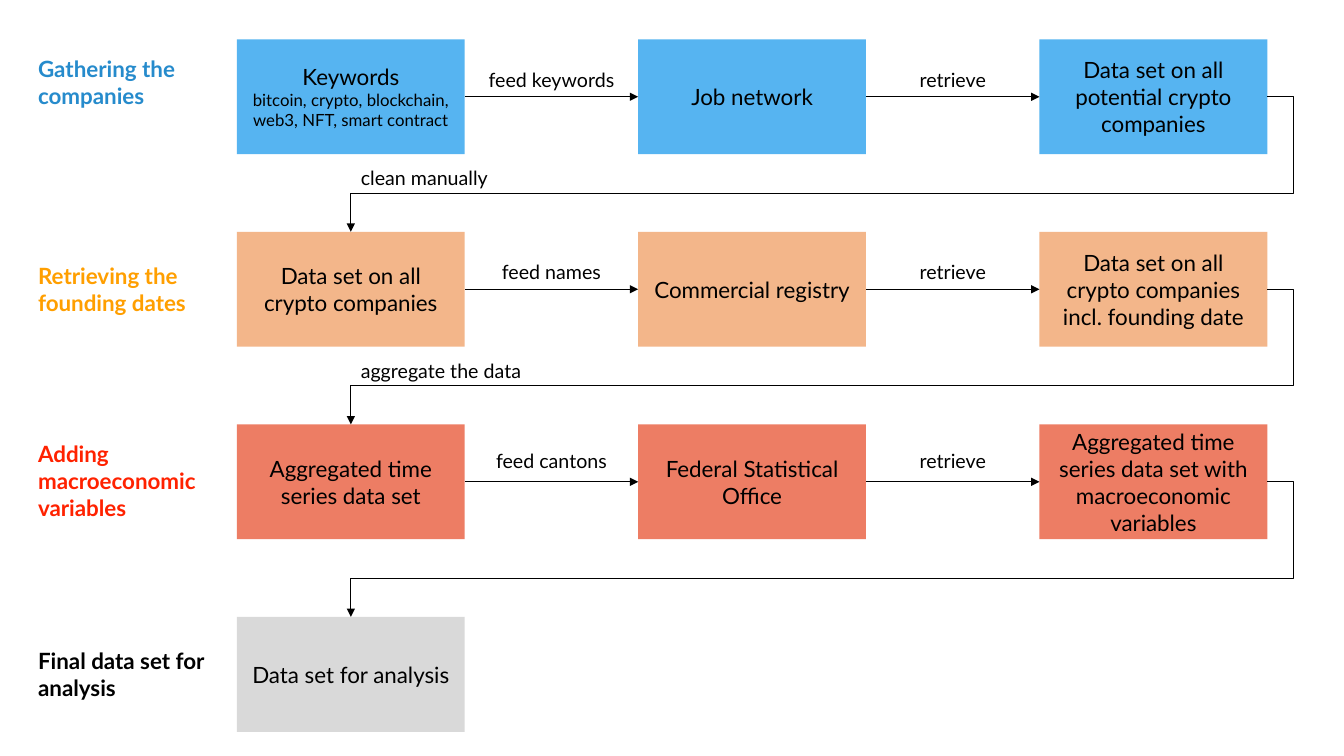
from dataclasses import dataclass

from lxml import etree
from pptx import Presentation
from pptx.dml.color import RGBColor
from pptx.enum.shapes import MSO_CONNECTOR, MSO_SHAPE
from pptx.enum.text import MSO_ANCHOR, MSO_AUTO_SIZE, PP_ALIGN
from pptx.oxml.ns import qn
from pptx.shapes.autoshape import Shape
from pptx.shapes.connector import Connector
from pptx.util import Inches, Pt

RECTANGLE = MSO_SHAPE.RECTANGLE
STRAIGHT, ELBOW = MSO_CONNECTOR.STRAIGHT, MSO_CONNECTOR.ELBOW
LEFT, CENTER = PP_ALIGN.LEFT, PP_ALIGN.CENTER
MIDDLE = MSO_ANCHOR.MIDDLE
GROW = MSO_AUTO_SIZE.SHAPE_TO_FIT_TEXT
FONT = "Lato"
BLACK = "000000"

# Connection sites of a rectangle
TOP_SITE, LEFT_SITE, RIGHT_SITE = 0, 1, 3

# Grid, in inches
BOX_WIDTH, BOX_HEIGHT = 2.26, 1.14
FIRST_LEFT, COLUMN_PITCH = 2.35, 3.98
FIRST_TOP, ROW_PITCH = 0.39, 1.91
LABEL_WIDTH, LABEL_HEIGHT = 1.91, 0.34
HEADING_LEFT, HEADING_WIDTH = 0.28, 2.06
RETURN_OVERHANG = 0.25


@dataclass(frozen=True)
class Stage:
    """One row of the process; the last line goes back to the next row."""
    heading: str
    heading_color: str
    heading_top: float
    heading_height: float
    fill: str
    steps: tuple[str, ...]
    labels: tuple[str, ...] = ()
    label_top: float = 0
    return_label: str = ""


STAGES = (
    Stage("Gathering the companies", "268BCC", 0.5, 0.64, "56B4F1",
          ("Keywords\nbitcoin, crypto, blockchain, web3, NFT, smart contract",
           "Job network", "Data set on all potential crypto companies"),
          ("feed keywords", "retrieve"), 0.62, "clean manually"),
    Stage("Retrieving the founding dates", "FF9F00", 2.55, 0.64, "F3B68A",
          ("Data set on all crypto companies", "Commercial registry",
           "Data set on all crypto companies incl. founding date"),
          ("feed names", "retrieve"), 2.53, "aggregate the data"),
    Stage("Adding macroeconomic variables", "FF2200", 4.32, 0.91, "ED7D64",
          ("Aggregated time series data set", "Federal Statistical Office",
           "Aggregated time series data set with macroeconomic variables"),
          ("feed cantons", "retrieve"), 4.4),
    Stage("Final data set for analysis", BLACK, 6.37, 0.64, "D9D9D9",
          ("Data set for analysis",)),
)


def rgb(color: str) -> RGBColor:
    """Turn a hex string into a colour."""
    return RGBColor.from_string(color)


def write(shape: Shape, text: str, sizes: tuple[int, ...], align: PP_ALIGN,
          color: str = BLACK, bold: bool = False) -> None:
    """Fill a shape with text, one font size per paragraph."""
    frame = shape.text_frame
    frame.text = text
    frame.word_wrap = True
    for para, size in zip(frame.paragraphs, sizes):
        para.alignment = align
        for span in para.runs:
            span.font.name = FONT
            span.font.size = Pt(size)
            span.font.bold = bold
            span.font.color.rgb = rgb(color)


def add_step(page, column: int, row: int, text: str, fill: str) -> Shape:
    """Draw a filled box in its cell of the grid."""
    box = page.shapes.add_shape(
        RECTANGLE, Inches(FIRST_LEFT + column * COLUMN_PITCH),
        Inches(FIRST_TOP + row * ROW_PITCH), Inches(BOX_WIDTH), Inches(BOX_HEIGHT))
    box.shadow.inherit = False
    box.fill.solid()
    box.fill.fore_color.rgb = rgb(fill)
    box.line.fill.background()
    box.text_frame.vertical_anchor = MIDDLE
    write(box, text, (16, 12), CENTER)
    return box


def add_text(page, left: float, top: float, width: float, height: float, text: str,
             size: int, align: PP_ALIGN = LEFT, color: str = BLACK,
             bold: bool = False) -> None:
    """Place a text box that grows with its text."""
    box = page.shapes.add_textbox(Inches(left), Inches(top), Inches(width), Inches(height))
    write(box, text, (size,), align, color, bold)
    box.text_frame.auto_size = GROW


def add_arrow(page, kind: MSO_CONNECTOR, start: Shape, end: Shape,
              end_site: int) -> Connector:
    """Join the right side of one box to a side of another with an arrow."""
    arrow = page.shapes.add_connector(kind, 0, 0, 0, 0)
    arrow.begin_connect(start, RIGHT_SITE)
    arrow.end_connect(end, end_site)
    arrow.line.color.rgb = rgb(BLACK)
    arrow.line.width = Pt(0.5)
    etree.SubElement(arrow.line._get_or_add_ln(), qn("a:tailEnd"), type="triangle")
    etree.SubElement(arrow._element.spPr, qn("a:effectLst"))
    return arrow


def add_return(page, start: Shape, end: Shape) -> None:
    """Lead an arrow around the right edge and back, midway between two rows."""
    arrow = add_arrow(page, ELBOW, start, end, TOP_SITE)
    lane = (start.top + start.height + end.top) / 2
    ratios = (-Inches(RETURN_OVERHANG) / arrow.width, (lane - arrow.top) / arrow.height)
    geometry = arrow._element.spPr.find(qn("a:prstGeom"))
    geometry.set("prst", "bentConnector4")
    guides = geometry.find(qn("a:avLst"))
    if guides is None:
        guides = etree.SubElement(geometry, qn("a:avLst"))
    for number, ratio in enumerate(ratios, 1):
        etree.SubElement(guides, qn("a:gd"), name=f"adj{number}",
                         fmla=f"val {round(ratio * 100000)}")


def add_stage(page, row: int, stage: Stage) -> list[Shape]:
    """Draw a row: heading, boxes, arrows and their labels."""
    add_text(page, HEADING_LEFT, stage.heading_top, HEADING_WIDTH, stage.heading_height,
             stage.heading, 16, color=stage.heading_color, bold=True)
    boxes = [add_step(page, column, row, text, stage.fill)
             for column, text in enumerate(stage.steps)]
    for start, end in zip(boxes, boxes[1:]):
        add_arrow(page, STRAIGHT, start, end, LEFT_SITE)
    gap_center = FIRST_LEFT + (BOX_WIDTH + COLUMN_PITCH) / 2
    for column, label in enumerate(stage.labels):
        add_text(page, gap_center + column * COLUMN_PITCH - LABEL_WIDTH / 2,
                 stage.label_top, LABEL_WIDTH, LABEL_HEIGHT, label, 14, CENTER)
    if stage.return_label:
        add_text(page, FIRST_LEFT + BOX_WIDTH / 2, 1.6 + row * ROW_PITCH,
                 LABEL_WIDTH, LABEL_HEIGHT, stage.return_label, 14)
    return boxes


def main() -> None:
    """Build the slide and save it."""
    deck = Presentation()
    deck.slide_width, deck.slide_height = Inches(13.33), Inches(7.5)
    page = deck.slides.add_slide(deck.slide_layouts[6])
    rows = [add_stage(page, row, stage) for row, stage in enumerate(STAGES)]
    for upper, lower in zip(rows, rows[1:]):
        add_return(page, upper[-1], lower[0])
    deck.save("out.pptx")


main()
